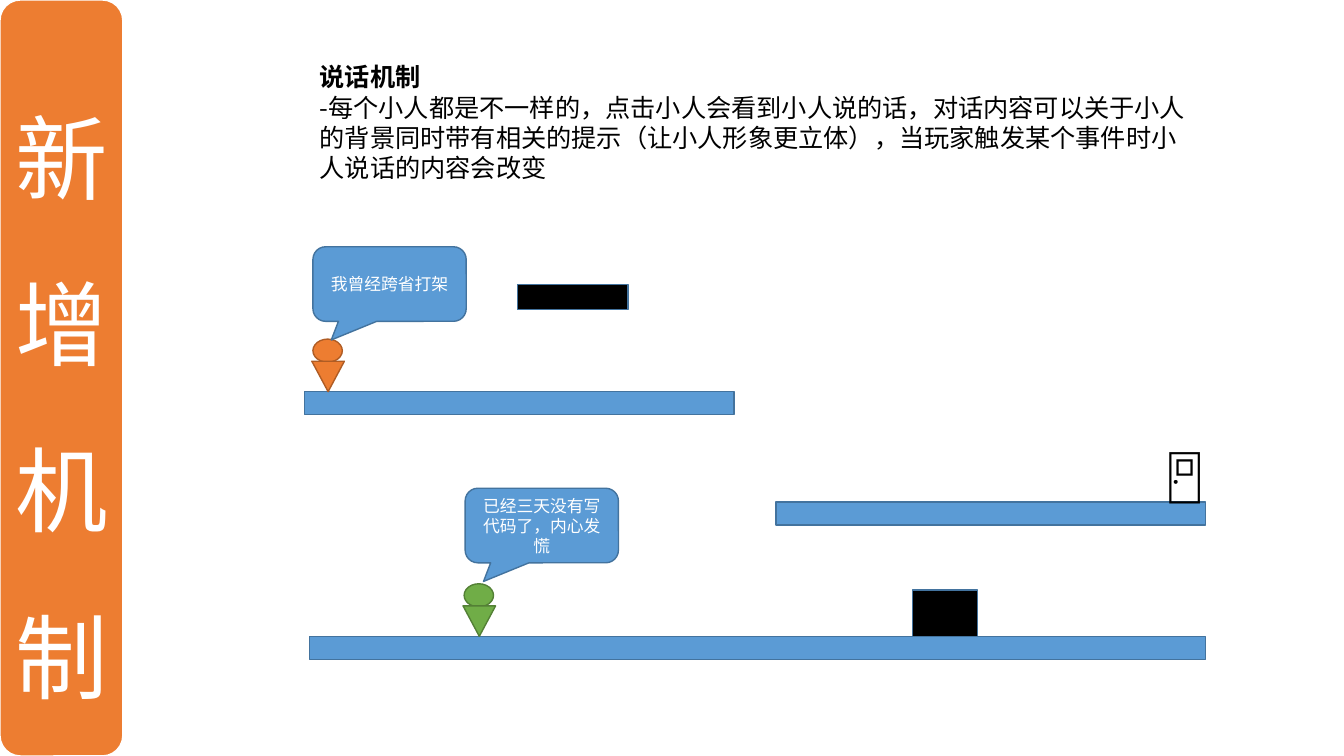
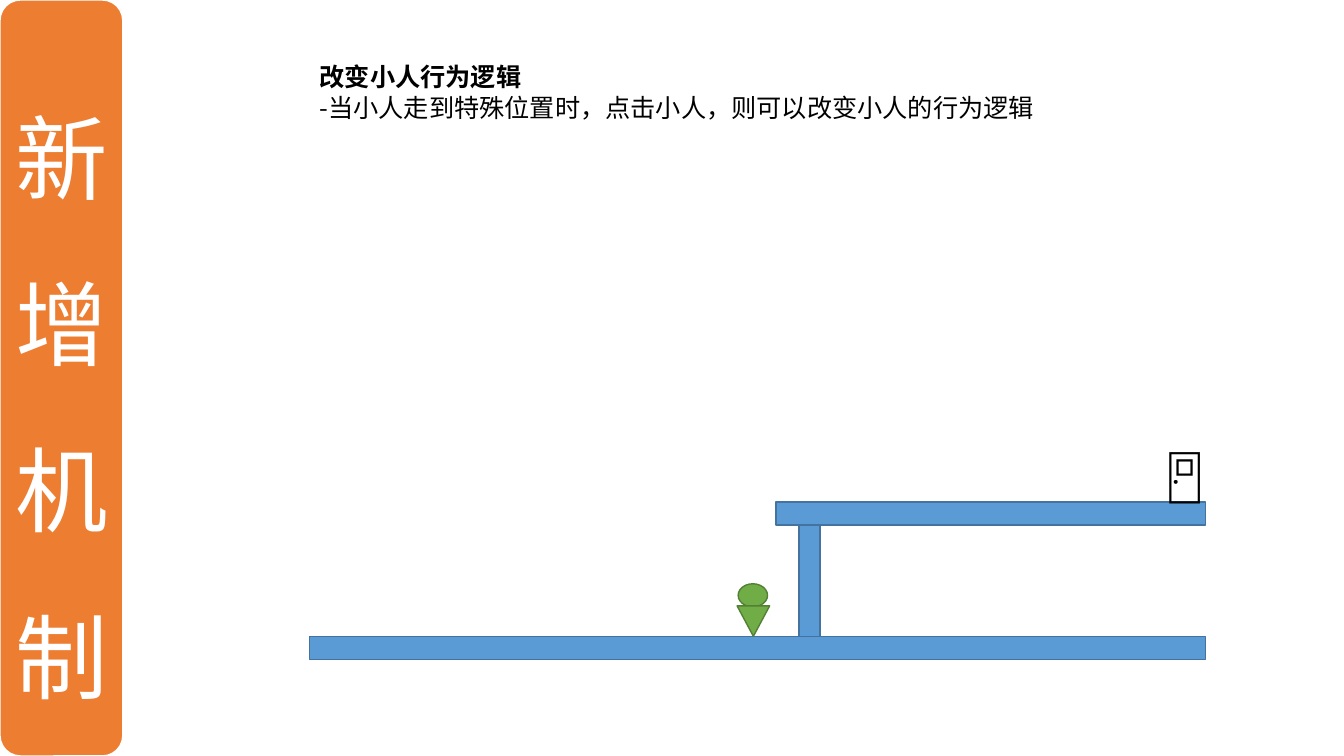
from dataclasses import dataclass

from lxml.etree import SubElement
from pptx import Presentation
from pptx.dml.color import RGBColor
from pptx.enum.shapes import MSO_SHAPE
from pptx.enum.text import MSO_ANCHOR, MSO_AUTO_SIZE, PP_ALIGN
from pptx.oxml.ns import qn
from pptx.util import Pt

# Scale: 96 px to the inch
PX = 9525
WIDE, HIGH = 1280, 720

# Colours and font
WHITE = RGBColor(0xFF, 0xFF, 0xFF)
BLACK = RGBColor(0x00, 0x00, 0x00)
BLUE = RGBColor(0x5B, 0x9B, 0xD5)
NAVY = RGBColor(0x43, 0x73, 0x9E)
ORANGE = RGBColor(0xED, 0x7D, 0x31)
RUST = RGBColor(0xAF, 0x5C, 0x24)
GREEN = RGBColor(0x70, 0xAD, 0x47)
MOSS = RGBColor(0x53, 0x80, 0x35)
FONT = "Noto Sans CJK SC"
TITLE = "新增机制"


@dataclass(frozen=True)
class Box:
    left: int
    top: int
    width: int
    height: int

    def emu(self) -> tuple:
        return tuple(n * PX for n in (self.left, self.top, self.width, self.height))


@dataclass(frozen=True)
class Block:
    box: Box
    fill: RGBColor = BLUE


@dataclass(frozen=True)
class Person:
    mid: int
    ground: int
    fill: RGBColor
    edge: RGBColor


@dataclass(frozen=True)
class Bubble:
    left: int
    top: int
    words: str


@dataclass(frozen=True)
class Scene:
    head: str
    body: str
    depth: int
    blocks: tuple
    people: tuple
    bubbles: tuple = ()


# Level parts that both scenes use
BAND = Box(0, 0, 117, HIGH)
FLOOR = Block(Box(295, 606, 853, 22))
LEDGE = Block(Box(739, 478, 409, 22))
DOOR = Box(1102, 413, 90, 74)

SCENES = (
    Scene(
        "说话机制",
        "-每个小人都是不一样的，点击小人会看到小人说的话，对话内容可以关于小人的背景"
        "同时带有相关的提示（让小人形象更立体），当玩家触发某个事件时小人说话的内容会改变",
        156,
        (FLOOR, Block(Box(290, 373, 409, 22)), LEDGE,
         Block(Box(869, 562, 62, 44), BLACK), Block(Box(493, 271, 105, 24), BLACK)),
        (Person(312, 373, ORANGE, RUST), Person(456, 606, GREEN, MOSS)),
        (Bubble(443, 465, "已经三天没有写代码了，内心发慌"),
         Bubble(298, 235, "我曾经跨省打架")),
    ),
    Scene(
        "改变小人行为逻辑",
        "-当小人走到特殊位置时，点击小人，则可以改变小人的行为逻辑",
        97,
        (FLOOR, Block(Box(761, 480, 20, 126)), LEDGE),
        (Person(717, 606, GREEN, MOSS),),
    ),
)


def write(para, words: str, size: int, color: RGBColor, bold: bool = False) -> None:
    """Add one run, with the font set for Latin and East Asian text."""
    run = para.add_run()
    run.text = words
    font = run.font
    font.size, font.bold, font.name = Pt(size), bold, FONT
    font.color.rgb = color
    SubElement(font._element, qn("a:ea"), typeface=FONT)


def draw(shapes, kind: MSO_SHAPE, box: Box, fill: RGBColor, edge: RGBColor = NAVY):
    shape = shapes.add_shape(kind, *box.emu())
    shape.shadow.inherit = False
    shape.fill.solid()
    shape.fill.fore_color.rgb = fill
    shape.line.color.rgb = edge
    shape.line.width = Pt(1)
    return shape


def add_title(slide) -> None:
    """Side band with the title running down it."""
    draw(slide.shapes, MSO_SHAPE.ROUNDED_RECTANGLE, BAND, ORANGE, WHITE)
    title = slide.shapes.title
    title.left, title.top, title.width, title.height = Box(15, 0, 98, HIGH).emu()
    # Keep the title in front of its band
    slide.shapes._spTree.append(title._element)
    frame = title.text_frame
    frame.auto_size = MSO_AUTO_SIZE.NONE
    frame.word_wrap = True
    frame.vertical_anchor = MSO_ANCHOR.MIDDLE
    frame.margin_left = frame.margin_right = 0
    para = frame.paragraphs[0]
    para.alignment = PP_ALIGN.LEFT
    para.line_spacing = 1.5
    write(para, TITLE, 66, WHITE)


def add_text(slide, box: Box):
    frame = slide.shapes.add_textbox(*box.emu()).text_frame
    frame.word_wrap = True
    frame.auto_size = MSO_AUTO_SIZE.SHAPE_TO_FIT_TEXT
    return frame


def add_person(slide, person: Person) -> None:
    """Round head on a triangle that stands on its tip."""
    group = slide.shapes.add_group_shape().shapes
    head = Box(person.mid - 14, person.ground - 50, 28, 22)
    trunk = Box(person.mid - 15, person.ground - 29, 31, 29)
    draw(group, MSO_SHAPE.OVAL, head, person.fill, person.edge)
    body = draw(group, MSO_SHAPE.ISOSCELES_TRIANGLE, trunk, person.fill, person.edge)
    body.rotation = 180


def add_bubble(slide, bubble: Bubble) -> None:
    box = Box(bubble.left, bubble.top, 146, 71)
    shape = draw(slide.shapes, MSO_SHAPE.ROUNDED_RECTANGULAR_CALLOUT, box, BLUE)
    for i, value in enumerate((-0.38, 0.75, 0.17)):
        shape.adjustments[i] = value
    frame = shape.text_frame
    frame.word_wrap = True
    frame.vertical_anchor = MSO_ANCHOR.MIDDLE
    para = frame.paragraphs[0]
    para.alignment = PP_ALIGN.CENTER
    write(para, bubble.words, 12, WHITE)


def add_scene(deck, scene: Scene) -> None:
    slide = deck.slides.add_slide(deck.slide_layouts.get_by_name("Title Only"))
    add_title(slide)
    # Heading and rule
    frame = add_text(slide, Box(295, 54, 845, scene.depth))
    write(frame.paragraphs[0], scene.head, 18, BLACK, True)
    write(frame.add_paragraph(), scene.body, 18, BLACK)
    # Level
    for block in scene.blocks:
        draw(slide.shapes, MSO_SHAPE.RECTANGLE, block.box, block.fill)
    write(add_text(slide, DOOR).paragraphs[0], "🚪", 40, BLACK)
    for person in scene.people:
        add_person(slide, person)
    for bubble in scene.bubbles:
        add_bubble(slide, bubble)


def main() -> None:
    deck = Presentation()
    deck.slide_width, deck.slide_height = WIDE * PX, HIGH * PX
    for scene in SCENES:
        add_scene(deck, scene)
    deck.save("out.pptx")


if __name__ == "__main__":
    main()
